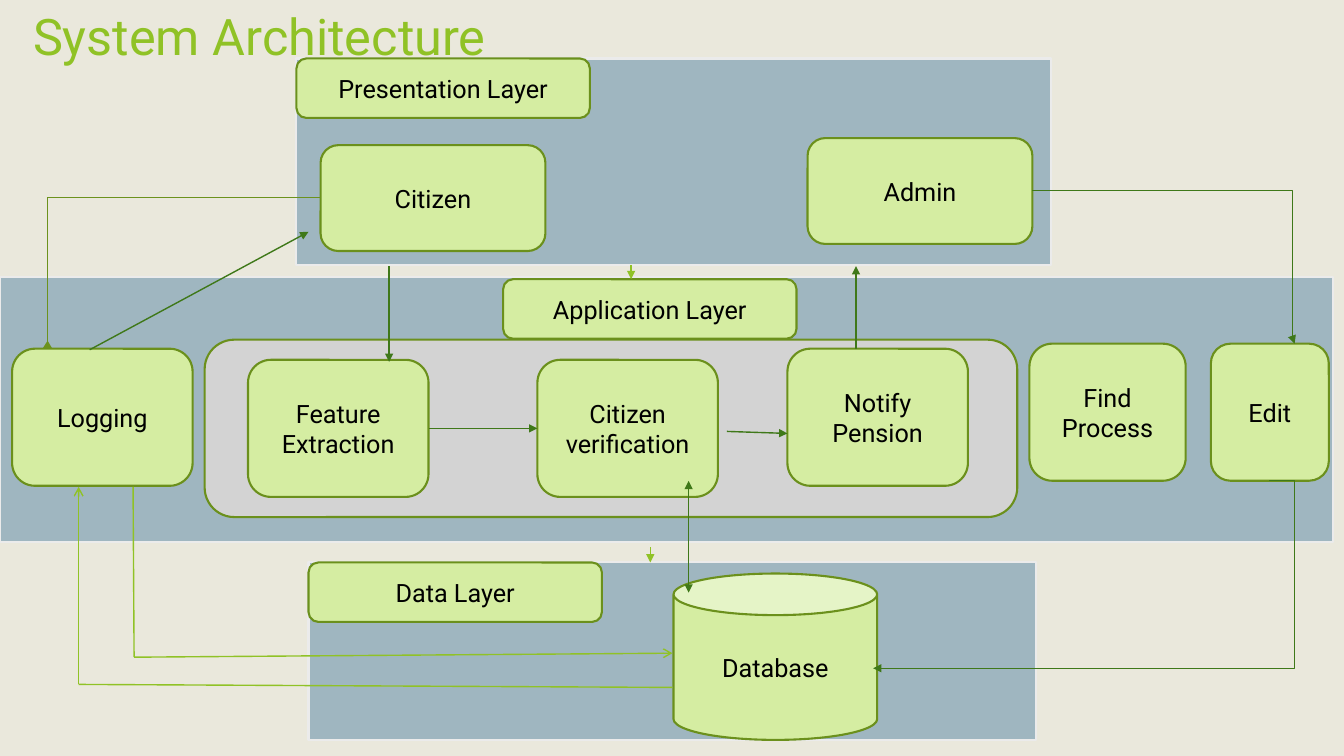
from dataclasses import dataclass

from lxml import etree
from pptx import Presentation
from pptx.dml.color import RGBColor
from pptx.enum.shapes import MSO_CONNECTOR, MSO_SHAPE
from pptx.enum.text import MSO_ANCHOR, PP_ALIGN
from pptx.oxml.ns import qn
from pptx.util import Inches, Pt

RECTANGLE = MSO_SHAPE.RECTANGLE
ROUNDED = MSO_SHAPE.ROUNDED_RECTANGLE
CAN = MSO_SHAPE.CAN
STRAIGHT = MSO_CONNECTOR.STRAIGHT
ELBOW = MSO_CONNECTOR.ELBOW
MIDDLE = MSO_ANCHOR.MIDDLE
TOP = MSO_ANCHOR.TOP
CENTER = PP_ALIGN.CENTER
LEFT = PP_ALIGN.LEFT

COLUMNS, ROWS = 13.33, 7.5
PAGE_WIDTH, PAGE_HEIGHT = Inches(13.33), Inches(7.5)
LABEL_SIZE = (2.91, 0.59)
ACTOR_SIZE = (2.23, 1.05)
STEP_SIZE = (1.79, 1.36)


@dataclass(frozen=True)
class Theme:
    font: str = "Roboto"
    title_size: int = 36
    body_size: int = 18
    outline: float = 1.5
    arrow: float = 1
    background: str = "EAE8DC"
    text: str = "000000"
    lime: str = "90C226"
    panel: str = "9FB6C0"
    panel_edge: str = "EBEBEB"
    group: str = "D3D3D3"
    box: str = "D5EDA2"
    box_edge: str = "6B901C"
    flow: str = "3F7819"
    login: str = "6C921D"


THEME = Theme()

PANELS = [
    (2.94, 0.58, 7.48, 2.05),
    (0, 2.75, 13.22, 2.63),
    (3.06, 5.58, 7.22, 1.76),
]
PIPELINE = (2.03, 3.37, 8.06, 1.76)
BOXES = [
    ("Citizen", 3.18, 1.44, *ACTOR_SIZE),
    ("Admin", 8.01, 1.37, *ACTOR_SIZE),
    ("Presentation Layer", 2.94, 0.58, *LABEL_SIZE),
    ("Application Layer", 4.99, 2.77, *LABEL_SIZE),
    ("Data Layer", 3.06, 5.58, *LABEL_SIZE),
    ("Logging", 0.12, 3.46, *STEP_SIZE),
    ("Feature Extraction", 2.46, 3.57, *STEP_SIZE),
    ("Citizen verification", 5.33, 3.57, *STEP_SIZE),
    ("Notify Pension", 7.81, 3.46, *STEP_SIZE),
    ("Find Process", 10.21, 3.41, 1.55, 1.36),
    ("Edit", 12.01, 3.41, 1.17, 1.36),
]
DATABASE = (6.68, 5.69, 2.02, 1.65)

LAYER_ARROWS = [
    ((6.26, 2.63), (6.26, 2.77)),
    ((6.45, 5.43), (6.45, 5.58)),
]
FLOW_ARROWS = [
    ((6.83, 4.93), (6.83, 5.88)),
    ((6.83, 5.83), (6.83, 4.77)),
    ((4.25, 4.25), (5.33, 4.25)),
    ((7.21, 4.28), (7.81, 4.3)),
    ((8.49, 3.46), (8.49, 2.64)),
    ((0.89, 3.47), (3.06, 2.3)),
    ((3.86, 2.64), (3.86, 3.59)),
]
BENT_ARROWS = [
    ((12.59, 4.77), (8.66, 6.63), 12.84, THEME.flow),
    ((10.24, 1.89), (12.84, 3.41), 12.82, THEME.flow),
    ((3.18, 1.96), (0.52, 3.46), 0.47, THEME.login),
]
LOGGING_ROUTES = [
    [(1.32, 4.83), (1.33, 6.52), (6.67, 6.48)],
    [(6.67, 6.82), (0.78, 6.79), (0.78, 4.83)],
]


def col(count):
    return round(PAGE_WIDTH * count / COLUMNS)


def row(count):
    return round(PAGE_HEIGHT * count / ROWS)


def place(area):
    left, top, width, height = area
    return col(left), row(top), col(width), row(height)


def write(frame, text, size, color, align, anchor):
    frame.word_wrap = True
    frame.vertical_anchor = anchor
    para = frame.paragraphs[0]
    para.alignment = align
    span = para.add_run()
    span.text = text
    span.font.name = THEME.font
    span.font.size = Pt(size)
    span.font.color.rgb = RGBColor.from_string(color)


def add_title(page, text):
    box = page.shapes.add_textbox(*place((0.23, 0, 9.4, 1.44)))
    write(box.text_frame, text, THEME.title_size, THEME.lime, LEFT, TOP)


def add_block(page, kind, area, fill, edge):
    block = page.shapes.add_shape(kind, *place(area))
    block.shadow.inherit = False
    block.fill.solid()
    block.fill.fore_color.rgb = RGBColor.from_string(fill)
    block.line.color.rgb = RGBColor.from_string(edge)
    block.line.width = Pt(THEME.outline)
    return block


def add_box(page, text, area, kind=ROUNDED):
    box = add_block(page, kind, area, THEME.box, THEME.box_edge)
    write(box.text_frame, text, THEME.body_size, THEME.text, CENTER, MIDDLE)


def add_arrow(page, start, end, color, head="triangle", kind=STRAIGHT):
    arrow = page.shapes.add_connector(
        kind, col(start[0]), row(start[1]), col(end[0]), row(end[1]))
    arrow.line.color.rgb = RGBColor.from_string(color)
    arrow.line.width = Pt(THEME.arrow)
    properties = arrow._element.spPr
    if head:
        etree.SubElement(properties.find(qn("a:ln")), qn("a:tailEnd"), type=head)
    etree.SubElement(properties, qn("a:effectLst"))
    return arrow


def add_bent_arrow(page, start, end, bend, color):
    arrow = add_arrow(page, start, end, color, kind=ELBOW)
    share = round(100000 * (bend - start[0]) / (end[0] - start[0]))
    geometry = arrow._element.spPr.find(qn("a:prstGeom"))
    guides = geometry.find(qn("a:avLst"))
    if guides is None:
        guides = etree.SubElement(geometry, qn("a:avLst"))
    etree.SubElement(guides, qn("a:gd"), name="adj1", fmla=f"val {share}")


def add_route(page, points):
    start, corner, end = points
    add_arrow(page, start, corner, THEME.lime, head=None)
    add_arrow(page, corner, end, THEME.lime, head="arrow")


def main():
    deck = Presentation()
    deck.slide_width, deck.slide_height = PAGE_WIDTH, PAGE_HEIGHT
    page = deck.slides.add_slide(deck.slide_layouts[6])
    page.background.fill.solid()
    page.background.fill.fore_color.rgb = RGBColor.from_string(THEME.background)

    add_title(page, "System Architecture")
    for area in PANELS:
        add_block(page, RECTANGLE, area, THEME.panel, THEME.panel_edge)
    add_block(page, ROUNDED, PIPELINE, THEME.group, THEME.box_edge)
    for text, *area in BOXES:
        add_box(page, text, area)
    add_box(page, "Database", DATABASE, CAN)

    for start, end in LAYER_ARROWS:
        add_arrow(page, start, end, THEME.lime)
    for start, end in FLOW_ARROWS:
        add_arrow(page, start, end, THEME.flow)
    for start, end, bend, color in BENT_ARROWS:
        add_bent_arrow(page, start, end, bend, color)
    for points in LOGGING_ROUTES:
        add_route(page, points)

    deck.save("out.pptx")


if __name__ == "__main__":
    main()
